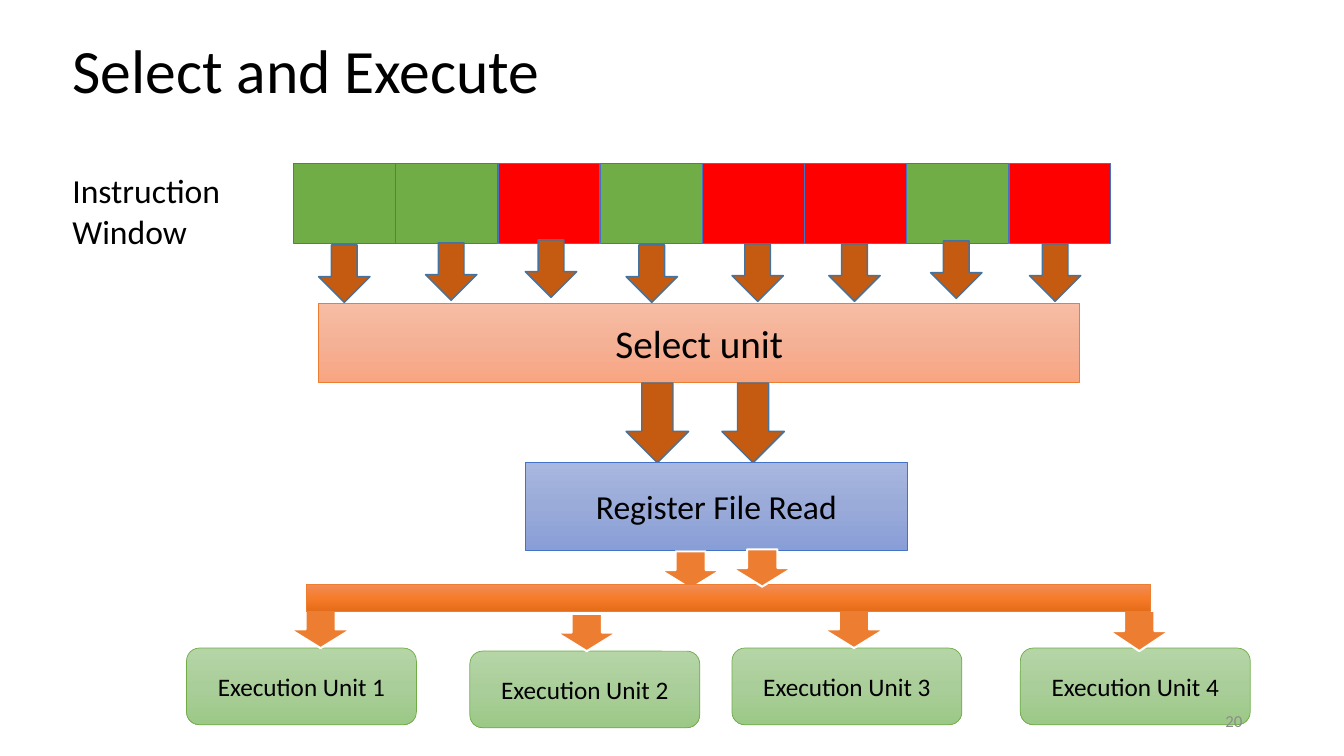
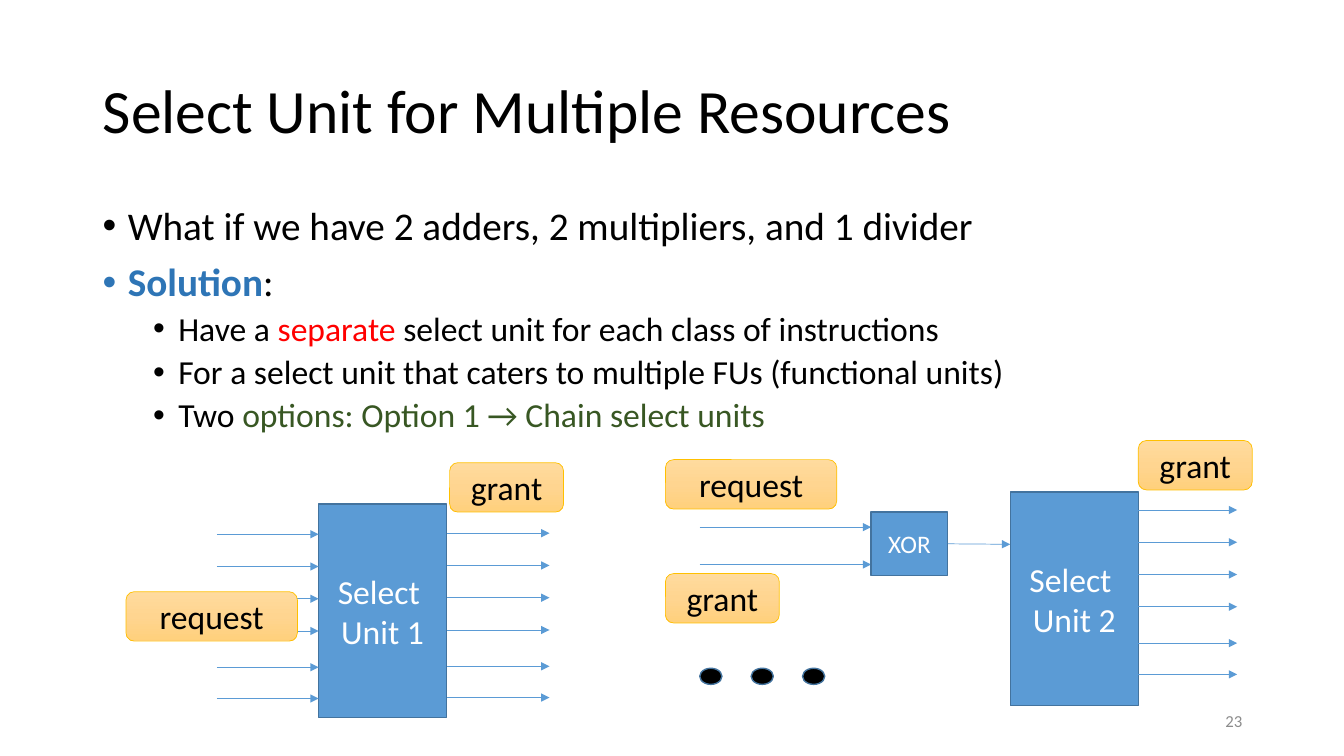
import copy
from dataclasses import dataclass

import pptx
import pptx.dml.color
import pptx.enum.dml
import pptx.enum.shapes
import pptx.enum.text
import pptx.oxml
import pptx.oxml.ns
import pptx.presentation
import pptx.shapes.autoshape
import pptx.slide
import pptx.text.text
import pptx.util
from pptx.dml.color import RGBColor
from pptx.enum.shapes import MSO_SHAPE
from pptx.enum.text import MSO_ANCHOR, PP_ALIGN
from pptx.util import Inches

FONT = "Calibri"
BLACK = RGBColor(0x00, 0x00, 0x00)
WHITE = RGBColor(0xFF, 0xFF, 0xFF)
GREY = RGBColor(0x8C, 0x8C, 0x8C)
RED = RGBColor(0xFF, 0x00, 0x00)
GREEN = RGBColor(0x70, 0xAD, 0x47)
DARK_GREEN = RGBColor(0x38, 0x57, 0x23)
BLUE = RGBColor(0x5B, 0x9B, 0xD5)
DARK_BLUE = RGBColor(0x43, 0x73, 0x9E)
ROYAL_BLUE = RGBColor(0x44, 0x72, 0xC4)
TEXT_BLUE = RGBColor(0x2E, 0x75, 0xB6)
ORANGE = RGBColor(0xED, 0x7D, 0x31)
RUST = RGBColor(0xC5, 0x5A, 0x11)
GOLD = RGBColor(0xFF, 0xC0, 0x00)


@dataclass(frozen=True)
class Look:
    """Outline and fill; one colour is a solid, three a top-down gradient."""

    fill: tuple[RGBColor, ...]
    line: RGBColor
    width: float = 0.5
    outline: MSO_SHAPE = MSO_SHAPE.RECTANGLE


@dataclass(frozen=True)
class Span:
    text: str
    color: RGBColor = BLACK
    bold: bool = False


@dataclass(frozen=True)
class Bullet:
    spans: tuple[Span, ...]
    level: int = 0


def gradient(*hex_colors: str) -> tuple[RGBColor, ...]:
    return tuple(RGBColor.from_string(color) for color in hex_colors)


READY = Look((GREEN,), ROYAL_BLUE)
WAITING = Look((RED,), ROYAL_BLUE)
SELECT_BAR = Look(gradient("F7BDA5", "F5B196", "F8A582"), ORANGE)
REGISTER_FILE = Look(gradient("A8B7DF", "9AABD9", "889ED7"), ROYAL_BLUE)
BUS = Look(gradient("F18C57", "F67B28", "E56C19"), ORANGE)
EXECUTION = Look(gradient("B5D5A7", "AACE9A", "9CC987"), GREEN, 0.5, MSO_SHAPE.ROUNDED_RECTANGLE)
SIGNAL = Look(gradient("FFDB9E", "FFD590", "FFD07C"), GOLD, 0.5, MSO_SHAPE.ROUNDED_RECTANGLE)
RUST_ARROW = Look((RUST,), DARK_BLUE, 1, MSO_SHAPE.DOWN_ARROW)
ORANGE_ARROW = Look((ORANGE,), WHITE, 1.5, MSO_SHAPE.DOWN_ARROW)
LOGIC = Look((BLUE,), DARK_BLUE, 1)
DOT = Look((BLACK,), DARK_BLUE, 1, MSO_SHAPE.OVAL)

WINDOW = (READY, READY, WAITING, READY, WAITING, WAITING, READY, WAITING)
WINDOW_ARROWS = ((3.16, 2.43), (4.22, 2.41), (5.21, 2.38), (6.21, 2.43),
                 (7.26, 2.42), (8.22, 2.42), (9.23, 2.39), (10.21, 2.42))
EXECUTION_UNITS = ((1.85, 6.43), (4.66, 6.46), (7.26, 6.43), (10.12, 6.43))
BUS_OUTPUTS = ((2.88, 6.06, 0.37), (5.52, 6.09, 0.37), (8.17, 6.06, 0.37), (11, 6.06, 0.4))
PORT_OFFSETS = (0, 0.32, 0.64, 0.96, 1.32, 1.63)

BULLETS = (
    Bullet((Span("What if we have 2 adders, 2 multipliers, and 1 divider"),)),
    Bullet((Span("Solution", TEXT_BLUE, True), Span(":"))),
    Bullet((Span("Have a "), Span("separate", RED),
            Span(" select unit for each class of instructions")), 1),
    Bullet((Span("For a select unit that caters to multiple FUs (functional units)"),), 1),
    Bullet((Span("Two "), Span("options: Option 1 → Chain select units", DARK_GREEN)), 1),
)


def add_run(paragraph: pptx.text.text._Paragraph, span: Span, size: float) -> None:
    run = paragraph.add_run()
    run.text = span.text
    run.font.name = FONT
    run.font.size = pptx.util.Pt(size)
    run.font.bold = span.bold
    run.font.color.rgb = span.color


def write_lines(frame: pptx.text.text.TextFrame, lines: tuple[str, ...], size: float,
                color: RGBColor = BLACK, align: PP_ALIGN = PP_ALIGN.LEFT) -> None:
    for index, line in enumerate(lines):
        paragraph = frame.add_paragraph() if index else frame.paragraphs[0]
        paragraph.alignment = align
        add_run(paragraph, Span(line, color), size)


def add_text_box(slide: pptx.slide.Slide, left: float, top: float, width: float,
                 height: float) -> pptx.text.text.TextFrame:
    box = slide.shapes.add_textbox(Inches(left), Inches(top), Inches(width), Inches(height))
    box.text_frame.word_wrap = True
    return box.text_frame


def add_block(slide: pptx.slide.Slide, look: Look, left: float, top: float, width: float,
              height: float, lines: tuple[str, ...] = (), size: float = 24,
              color: RGBColor = BLACK) -> pptx.shapes.autoshape.Shape:
    block = slide.shapes.add_shape(look.outline, Inches(left), Inches(top),
                                   Inches(width), Inches(height))
    block.shadow.inherit = False
    block.line.color.rgb = look.line
    block.line.width = pptx.util.Pt(look.width)
    if len(look.fill) == 1:
        block.fill.solid()
        block.fill.fore_color.rgb = look.fill[0]
    else:
        block.fill.gradient()
        block.fill.gradient_angle = 270
        stops = block._element.spPr.find(".//" + pptx.oxml.ns.qn("a:gsLst"))
        stops.insert(1, copy.deepcopy(stops[0]))
        for index, (stop, shade) in enumerate(zip(block.fill.gradient_stops, look.fill)):
            stop.position = index / 2
            stop.color.rgb = shade
    block.text_frame.vertical_anchor = MSO_ANCHOR.MIDDLE
    write_lines(block.text_frame, lines, size, color, PP_ALIGN.CENTER)
    return block


def add_wire(slide: pptx.slide.Slide, left: float, right: float,
             y: float) -> pptx.shapes.connector.Connector:
    wire = slide.shapes.add_connector(pptx.enum.shapes.MSO_CONNECTOR.STRAIGHT,
                                      Inches(left), Inches(y), Inches(right), Inches(y))
    wire.line.color.rgb = BLUE
    wire.line.width = pptx.util.Pt(0.5)
    pptx.oxml.ns.qn("a:ln")
    line = wire.line._get_or_add_ln()
    head = line.makeelement(pptx.oxml.ns.qn("a:tailEnd"), {"type": "triangle"})
    line.append(head)
    properties = wire._element.spPr
    properties.append(properties.makeelement(pptx.oxml.ns.qn("a:effectLst"), {}))
    return wire


def add_ports(slide: pptx.slide.Slide, left: float, right: float, first: float) -> None:
    """Draw the six parallel signals on one side of a select unit."""
    for offset in PORT_OFFSETS:
        add_wire(slide, left, right, first + offset)


def add_bullets(frame: pptx.text.text.TextFrame, bullets: tuple[Bullet, ...]) -> None:
    for index, bullet in enumerate(bullets):
        paragraph = frame.add_paragraph() if index else frame.paragraphs[0]
        properties = paragraph._p.get_or_add_pPr()
        properties.set("marL", str(Inches(0.25 + 0.5 * bullet.level)))
        properties.set("indent", str(Inches(-0.25)))
        for tag, attributes in (("a:buFont", {"typeface": "Arial"}),
                                ("a:buChar", {"char": "•"})):
            properties.append(properties.makeelement(pptx.oxml.ns.qn(tag), attributes))
        paragraph.level = bullet.level
        paragraph.line_spacing = 0.9
        if index:
            paragraph.space_before = pptx.util.Pt(5 if bullet.level else 10)
        for span in bullet.spans:
            add_run(paragraph, span, 24 if bullet.level else 28)


def add_titled_slide(deck: pptx.presentation.Presentation, heading: str, left: float,
                     top: float, number: str) -> pptx.slide.Slide:
    slide = deck.slides.add_slide(deck.slide_layouts.get_by_name("Title Only"))
    title = slide.shapes.title
    title.left, title.top = Inches(left), Inches(top)
    title.width, title.height = Inches(11.5), Inches(1.45)
    frame = title.text_frame
    frame.auto_size = pptx.enum.text.MSO_AUTO_SIZE.NONE
    frame.vertical_anchor = MSO_ANCHOR.MIDDLE
    write_lines(frame, (heading,), 44)
    frame.paragraphs[0].line_spacing = 0.9
    return slide


def add_page_number(slide: pptx.slide.Slide, number: str) -> None:
    frame = add_text_box(slide, 9.42, 6.95, 3, 0.4)
    frame.vertical_anchor = MSO_ANCHOR.MIDDLE
    write_lines(frame, (number,), 12, GREY, PP_ALIGN.RIGHT)


def build_select_and_execute(deck: pptx.presentation.Presentation) -> None:
    slide = add_titled_slide(deck, "Select and Execute", 0.62, 0, "20")
    write_lines(add_text_box(slide, 0.62, 1.64, 1.9, 0.91), ("Instruction", "Window"), 24)
    for index, state in enumerate(WINDOW):
        add_block(slide, state, 2.91 + 1.014 * index, 1.62, 1.01, 0.79)
    add_block(slide, SELECT_BAR, 3.16, 3.01, 7.55, 0.78, ("Select unit",), 28)
    for left, top in WINDOW_ARROWS:
        add_block(slide, RUST_ARROW, left, top, 0.51, 0.57)
    for left in (6.21, 7.16):
        add_block(slide, RUST_ARROW, left, 3.8, 0.62, 0.79)
    add_block(slide, REGISTER_FILE, 5.21, 4.59, 3.79, 0.87, ("Register File Read",))
    for number, (left, top) in enumerate(EXECUTION_UNITS, start=1):
        add_block(slide, EXECUTION, left, top, 2.28, 0.76, (f"Execution Unit {number}",), 18)
    for left, top, height in BUS_OUTPUTS:
        add_block(slide, ORANGE_ARROW, left, top, 0.6, height)
    add_block(slide, ORANGE_ARROW, 6.55, 5.47, 0.6, 0.37)
    add_block(slide, BUS, 3.04, 5.8, 8.37, 0.27)
    add_block(slide, ORANGE_ARROW, 7.26, 5.45, 0.6, 0.37)
    add_page_number(slide, "20")


def build_multiple_resources(deck: pptx.presentation.Presentation) -> None:
    slide = add_titled_slide(deck, "Select Unit for Multiple Resources", 0.92, 0.4, "23")
    add_bullets(add_text_box(slide, 0.92, 2, 11.5, 2.56), BULLETS)
    for number, left, top in ((1, 3.16, 5), (2, 10.02, 4.88)):
        add_block(slide, LOGIC, left, top, 1.27, 2.12, ("Select ", f"Unit {number}"), 24, WHITE)
    add_ports(slide, 2.15, 3.16, 5.3)
    add_ports(slide, 4.43, 5.45, 5.29)
    add_ports(slide, 11.29, 12.27, 5.06)
    for y in (5.23, 5.6):
        add_wire(slide, 6.94, 8.64, y)
    xor = add_block(slide, LOGIC, 8.64, 5.08, 0.76, 0.63, ("XOR",), 18, WHITE)
    add_wire(slide, 9.4, 10.02, 5.4).begin_connect(xor, 3)
    for left, top in ((1.25, 5.87), (6.6, 4.56)):
        add_block(slide, SIGNAL, left, top, 1.7, 0.49, ("request",))
    for left, top in ((4.46, 4.59), (6.6, 5.69), (11.29, 4.37)):
        add_block(slide, SIGNAL, left, top, 1.13, 0.49, ("grant",))
    for index in range(3):
        add_block(slide, DOT, 6.94 + 0.51 * index, 6.63, 0.22, 0.16)
    add_page_number(slide, "23")


def main() -> None:
    deck = pptx.Presentation()
    deck.slide_width, deck.slide_height = Inches(13.33), Inches(7.5)
    build_select_and_execute(deck)
    build_multiple_resources(deck)
    deck.save("out.pptx")


if __name__ == "__main__":
    main()
